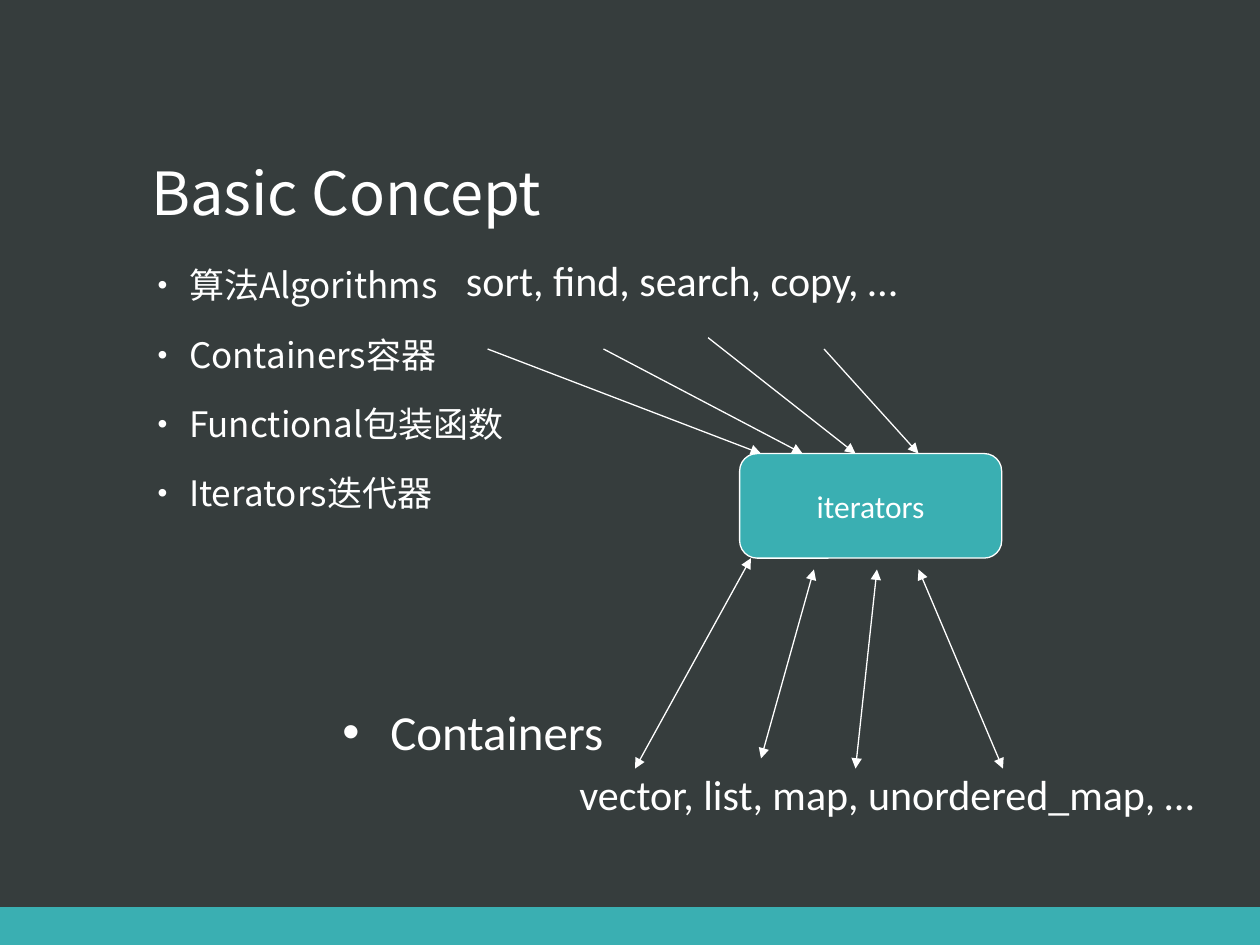
"""Build the Basic Concept slide: algorithms reach containers through iterators."""
from lxml.etree import SubElement
from pptx import Presentation
from pptx.dml.color import RGBColor
from pptx.enum.shapes import MSO_CONNECTOR, MSO_SHAPE
from pptx.enum.text import MSO_ANCHOR, MSO_AUTO_SIZE, PP_ALIGN
from pptx.oxml.ns import qn
from pptx.util import Inches, Pt

DARK = RGBColor(0x36, 0x3D, 0x3D)
TEAL = RGBColor(0x3A, 0xAF, 0xB2)
WHITE = RGBColor(0xFF, 0xFF, 0xFF)
HEADING_FONT, LABEL_FONT = "Noto Sans CJK SC", "Calibri"

TITLE = "Basic Concept"
TOPICS = ["算法Algorithms", "Containers容器", "Functional包装函数", "Iterators迭代器"]
TOPIC_FORMAT = {"size": 20, "font": HEADING_FONT, "left": 0.3, "indent": -0.25,
                "before": 18, "line": 0.9, "bullet": 80}
ALGORITHMS = [("sort, find, search, copy, …", {"size": 24, "left": 0.81, "level": 1, "before": 4.8})]
CONTAINERS = [
    ("Containers", {"size": 28, "left": 0.38, "indent": -0.38, "before": 5.6, "bullet": 100}),
    ("vector, list, map, unordered_map, …", {"size": 24, "left": 1.88, "level": 1, "before": 4.8}),
]
LABELS = [((2.79, 1.97, 9, 1.5), ALGORITHMS), ((2.62, 5.52, 9, 1.28), CONTAINERS)]
HUB_TOP = 3.6
ALGORITHM_ARROWS = [(3.87, 2.77, 6.04), (4.79, 2.77, 6.37), (5.62, 2.68, 6.79), (6.54, 2.77, 7.29)]
CONTAINER_ARROWS = [(7.96, 6.1, 7.29, 4.52), (6.79, 6.1, 6.96, 4.52),
                    (6.04, 6.02, 6.46, 4.52), (5.04, 6.1, 5.96, 4.43)]


def place(shape, area):
    for name, value in zip(("left", "top", "width", "height"), area):
        setattr(shape, name, Inches(value))


def write(para, text, size, font=LABEL_FONT, left=0, indent=0, before=0, line=1.0,
          level=0, bullet=None, align=PP_ALIGN.LEFT):
    settings = {"alignment": align, "level": level, "line_spacing": line, "space_before": Pt(before)}
    for name, value in settings.items():
        setattr(para, name, value)
    span = para.add_run()
    span.text = text
    for name, value in {"size": Pt(size), "name": font, "bold": False}.items():
        setattr(span.font, name, value)
    span.font.color.rgb = WHITE
    SubElement(span.font._element, qn("a:ea")).set("typeface", font)
    properties = para._p.get_or_add_pPr()
    properties.set("marL", str(Inches(left)))
    properties.set("indent", str(Inches(indent)))
    if bullet:
        SubElement(properties, qn("a:buSzPct")).set("val", str(bullet * 1000))
        SubElement(properties, qn("a:buFont")).set("typeface", "Arial")
        SubElement(properties, qn("a:buChar")).set("char", "•")


def write_all(frame, items):
    for index, (text, style) in enumerate(items):
        para = frame.add_paragraph() if index else frame.paragraphs[0]
        write(para, text, **style)


def add_block(page, kind, area, outlined=False):
    block = page.shapes.add_shape(kind, *map(Inches, area))
    block.shadow.inherit = False
    block.fill.solid()
    block.fill.fore_color.rgb = TEAL
    if outlined:
        block.line.color.rgb = WHITE
        block.line.width = Pt(0.75)
    else:
        block.line.fill.background()
    return block


def add_arrow(page, points, ends):
    arrow = page.shapes.add_connector(MSO_CONNECTOR.STRAIGHT, *map(Inches, points))
    arrow.line.color.rgb = WHITE
    arrow.line.width = Pt(0.75)
    for end in ends:
        SubElement(arrow.line._get_or_add_ln(), qn(end)).set("type", "triangle")
    SubElement(arrow._element.spPr, qn("a:effectLst"))


def main():
    deck = Presentation()
    deck.slide_width, deck.slide_height = Inches(10), Inches(7.5)
    page = deck.slides.add_slide(deck.slide_layouts[1])
    page.background.fill.solid()
    page.background.fill.fore_color.rgb = DARK
    add_block(page, MSO_SHAPE.RECTANGLE, (0, 7.2, 10, 0.3))

    title, body = page.placeholders
    place(title, (1.1, 0.51, 7.8, 1.35))
    title.text_frame.vertical_anchor = MSO_ANCHOR.BOTTOM
    write(title.text_frame.paragraphs[0], TITLE, 34, HEADING_FONT, line=0.9)
    place(body, (1.1, 2.08, 3.75, 4.51))
    body.text_frame.auto_size = MSO_AUTO_SIZE.TEXT_TO_FIT_SHAPE
    write_all(body.text_frame, [(topic, TOPIC_FORMAT) for topic in TOPICS])

    for area, items in LABELS:
        box = page.shapes.add_textbox(*map(Inches, area))
        box.text_frame.word_wrap = True
        write_all(box.text_frame, items)

    hub = add_block(page, MSO_SHAPE.ROUNDED_RECTANGLE, (5.87, HUB_TOP, 2.08, 0.83), outlined=True)
    hub.text_frame.word_wrap = False
    hub.text_frame.vertical_anchor = MSO_ANCHOR.MIDDLE
    write(hub.text_frame.paragraphs[0], "iterators", 18, align=PP_ALIGN.CENTER)

    for left, top, target in ALGORITHM_ARROWS:
        add_arrow(page, (left, top, target, HUB_TOP), ["a:tailEnd"])
    for points in CONTAINER_ARROWS:
        add_arrow(page, points, ["a:headEnd", "a:tailEnd"])
    deck.save("out.pptx")


if __name__ == "__main__":
    main()
